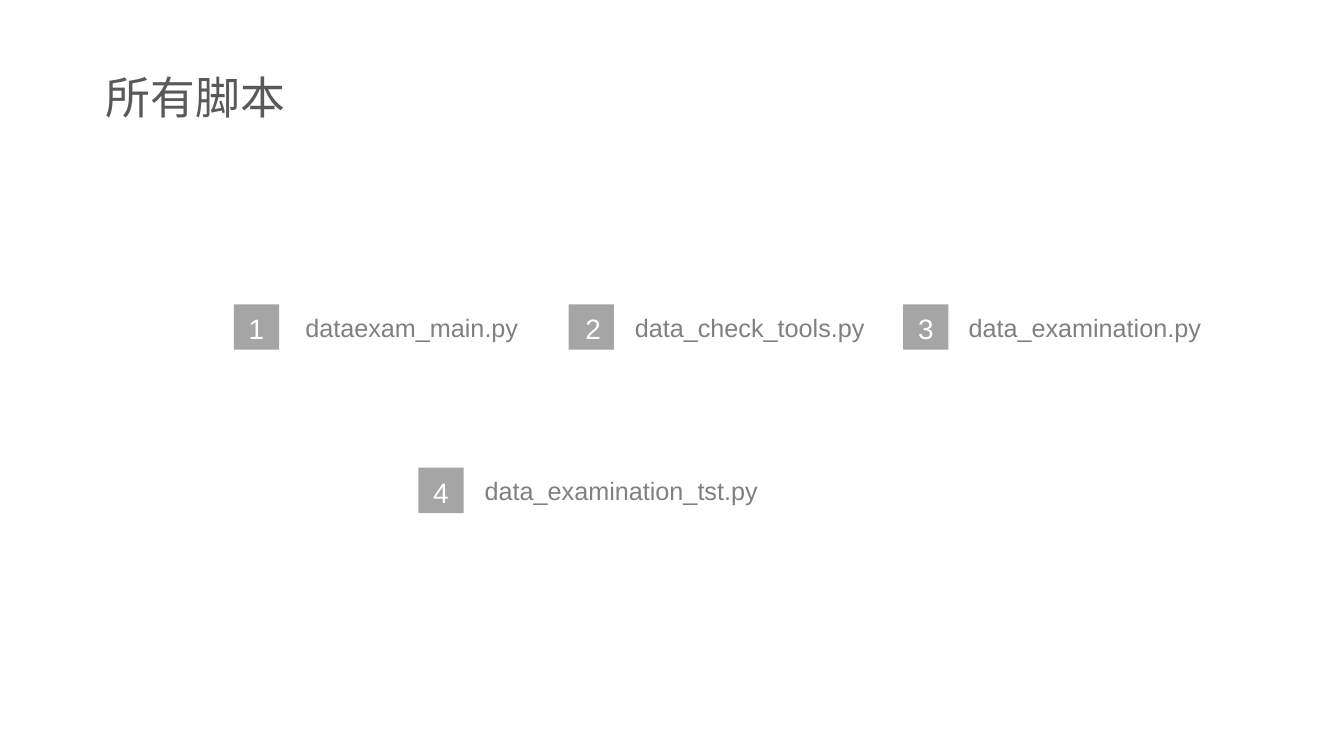
from pptx import Presentation
from pptx.dml.color import RGBColor
from pptx.enum.shapes import MSO_SHAPE as Kind
from pptx.enum.text import MSO_ANCHOR as Anchor, MSO_AUTO_SIZE as Fit, PP_ALIGN as Align
from pptx.util import Pt

WHITE = RGBColor(0xFF, 0xFF, 0xFF)
BADGE = RGBColor(0xA5, 0xA5, 0xA5)
LABEL = RGBColor(0x80, 0x80, 0x80)
TITLE = RGBColor(0x59, 0x59, 0x59)

SIDE = 32.4
LEFT, STEP = 167.04, 239.04
TOP, LOW = 217.44, 334.08

SCRIPTS = [
    ("dataexam_main.py", LEFT, TOP, 0, 43.92),
    ("data_check_tools.py", LEFT + STEP, TOP, 1.44, 40.32),
    ("data_examination.py", LEFT + 2 * STEP, TOP, 0, 39.6),
    ("data_examination_tst.py", 298.8, LOW, 0, 40.32),
]


def put(item, values):
    for name, value in values.items():
        setattr(item, name, value)


def write(shape, text, size, color, align=Align.LEFT, wrap=True):
    frame = shape.text_frame
    put(frame, {"word_wrap": wrap, "auto_size": Fit.NONE,
                "vertical_anchor": Anchor.MIDDLE,
                "margin_left": Pt(7.2), "margin_right": Pt(7.2),
                "margin_top": Pt(3.6), "margin_bottom": Pt(3.6)})
    para = frame.paragraphs[0]
    para.alignment = align
    run = para.add_run()
    run.text = text
    put(run.font, {"name": "Arial", "size": Pt(size), "bold": False})
    run.font.color.rgb = color
    return para


def add_title(slide, text):
    title = slide.shapes.title
    put(title, {"left": Pt(68.4), "top": Pt(46.08),
                "width": Pt(411.12), "height": Pt(51.12)})
    title.fill.solid()
    title.fill.fore_color.rgb = WHITE
    para = write(title, text, 32, TITLE)
    put(para, {"line_spacing": 0.9, "space_before": Pt(0)})


def add_badge(slide, x, y):
    box = slide.shapes.add_shape(Kind.RECTANGLE, Pt(x), Pt(y), Pt(SIDE), Pt(SIDE))
    box.shadow.inherit = False
    box.fill.solid()
    box.fill.fore_color.rgb = BADGE
    box.line.fill.background()


def add_text(slide, text, x, y, width, **look):
    box = slide.shapes.add_textbox(Pt(x), Pt(y), Pt(width), Pt(31.68))
    write(box, text, **look)


def main():
    deck = Presentation()
    put(deck, {"slide_width": Pt(960), "slide_height": Pt(540)})
    slide = deck.slides.add_slide(deck.slide_layouts[5])
    add_title(slide, "所有脚本")
    for num, (name, x, y, shift, gap) in enumerate(SCRIPTS, 1):
        add_badge(slide, x, y)
        add_text(slide, str(num), x + shift, y + 1.44, SIDE,
                 size=20, color=WHITE, align=Align.CENTER)
        add_text(slide, name, x + gap, y + 0.5, 183.6,
                 size=18, color=LABEL, wrap=False)
    deck.save("out.pptx")


if __name__ == "__main__":
    main()
